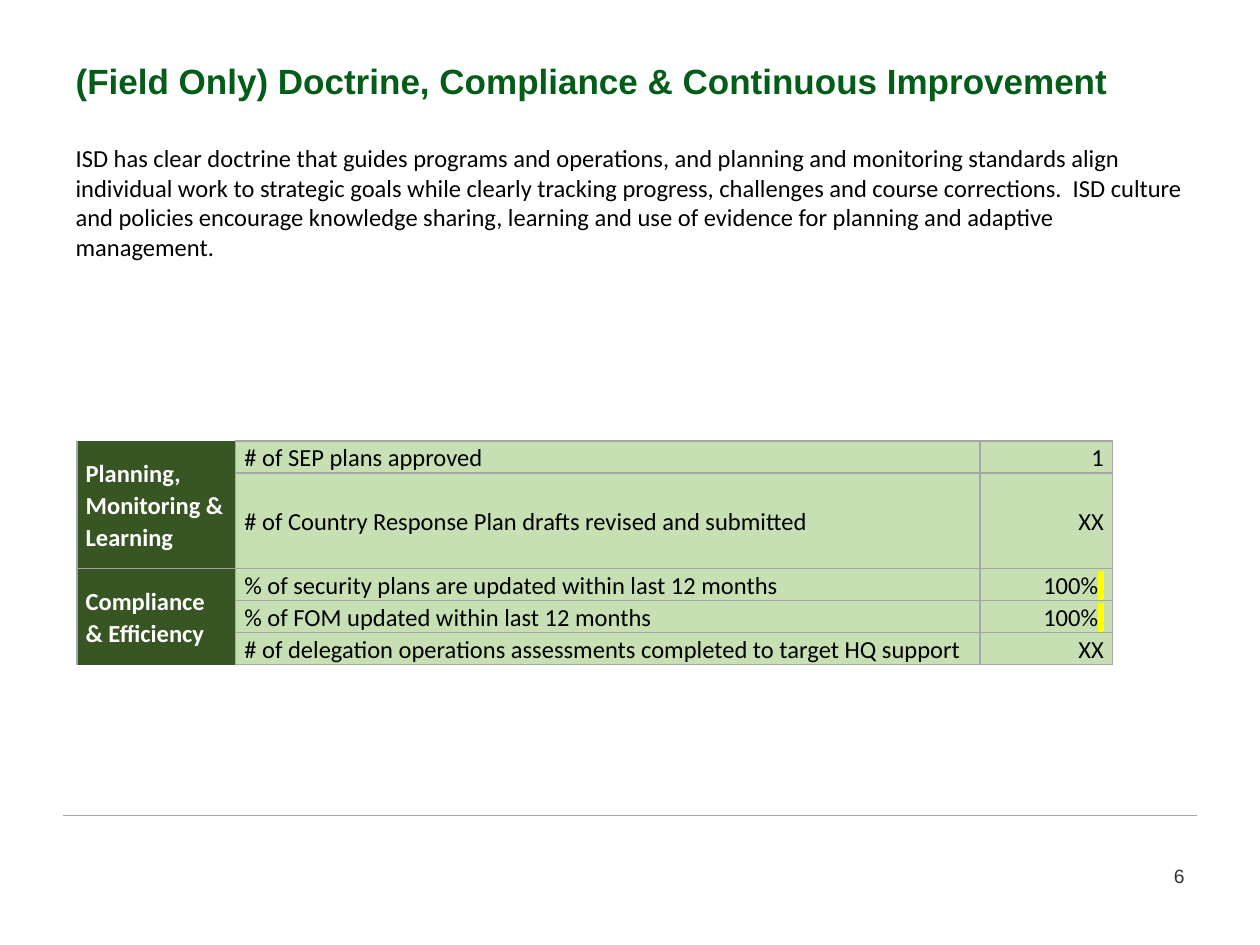
from lxml import etree
from pptx import Presentation
from pptx.dml.color import RGBColor
from pptx.enum.text import MSO_ANCHOR, MSO_AUTO_SIZE, PP_ALIGN
from pptx.oxml.ns import qn
from pptx.util import Inches, Pt

GREY, DARK_GREEN, LIGHT_GREEN = "A6A6A6", "385623", "C6E0B4"


def paint(target, color):
    """Give a fill a solid colour from a hex string."""
    target.solid()
    target.fore_color.rgb = RGBColor.from_string(color)


def add_text(paragraph, text, size, font, color, bold=False):
    """Add a formatted run to a paragraph and return it."""
    run = paragraph.add_run()
    run.text = text
    run.font.size, run.font.name, run.font.bold = Pt(size), font, bold
    paint(run.font.fill, color)
    return run


prs = Presentation()
prs.slide_width, prs.slide_height = Inches(10), Inches(7.5)
slide = prs.slides.add_slide(prs.slide_layouts[5])

# Title and introduction
title = slide.shapes.title
title.left, title.top = Inches(0.5), Inches(0.3)
title.width, title.height = Inches(9), Inches(2.97)
frame = title.text_frame
frame.word_wrap, frame.auto_size = True, MSO_AUTO_SIZE.NONE
frame.vertical_anchor = MSO_ANCHOR.TOP
frame.margin_top = Inches(0.17)
heading, intro = frame.paragraphs[0], frame.add_paragraph()
heading.alignment = intro.alignment = PP_ALIGN.LEFT
heading.space_before, intro.space_before = Pt(0), Pt(24)
add_text(heading, "(Field Only) Doctrine, Compliance & Continuous Improvement",
         20, "Arial", "035D18", True)
add_text(intro,
         "ISD has clear doctrine that guides programs and operations, and planning "
         "and monitoring standards align individual work to strategic goals while "
         "clearly tracking progress, challenges and course corrections.  ISD culture "
         "and policies encourage knowledge sharing, learning and use of evidence for "
         "planning and adaptive management.", 14, "Calibri", "000000")

# Indicator table
rows = [
    ("Planning, Monitoring & Learning", "# of SEP plans approved", "1"),
    ("", "# of Country Response Plan drafts revised and submitted", "XX"),
    ("Compliance & Efficiency",
     "% of security plans are updated within last 12 months", "100%"),
    ("", "% of FOM updated within last 12 months", "100%"),
    ("", "# of delegation operations assessments completed to target HQ support", "XX"),
]
table = slide.shapes.add_table(len(rows), 3, Inches(0.61), Inches(3.5),
                               Inches(8.22), Inches(1.76)).table
table.first_row = table.horz_banding = False
table._tbl.tblPr.find(qn("a:tableStyleId")).text = "{2D5ABB26-0587-4C30-8999-92F81FD0307C}"
for column, width in zip(table.columns, (1.26, 5.91, 1.05)):
    column.width = Inches(width)
for row, height in zip(table.rows, (0.25, 0.76, 0.25, 0.25, 0.25)):
    row.height = Inches(height)
table.cell(0, 0).merge(table.cell(1, 0))
table.cell(2, 0).merge(table.cell(4, 0))

group_sides = {0: "LRB", 2: "LRT"}
for r, values in enumerate(rows):
    for c, value in enumerate(values):
        cell = table.cell(r, c)
        cell.vertical_anchor = MSO_ANCHOR.MIDDLE
        cell.margin_left = cell.margin_right = Inches(0.07)
        cell.margin_top = cell.margin_bottom = 0
        paint(cell.fill, LIGHT_GREEN if c else DARK_GREEN)
        sides = "LRTB" if c else group_sides.get(r, "LR")
        properties = cell._tc.get_or_add_tcPr()
        for position, side in enumerate(sides):
            border = etree.Element(qn(f"a:ln{side}"), w=str(Pt(1)))
            fill = etree.SubElement(border, qn("a:solidFill"))
            etree.SubElement(fill, qn("a:srgbClr"), val=GREY)
            properties.insert(position, border)
        if not value:
            continue
        paragraph = cell.text_frame.paragraphs[0]
        paragraph.line_spacing = 1.07
        paragraph.alignment = PP_ALIGN.RIGHT if c == 2 else PP_ALIGN.LEFT
        add_text(paragraph, value, 14, "Calibri", "000000" if c else "FFFFFF", c == 0)
        if value == "100%":
            marker = add_text(paragraph, " ", 14, "Calibri", "000000")
            highlight = etree.Element(qn("a:highlight"))
            etree.SubElement(highlight, qn("a:srgbClr"), val="FFFF00")
            marker.font.fill._xPr.find(qn("a:solidFill")).addnext(highlight)

# Footer rule and page number
rule = slide.shapes.add_connector(1, Inches(0.5), Inches(6.47), Inches(9.5), Inches(6.47))
paint(rule.line.fill, GREY)
rule.line.width = Pt(0.75)
etree.SubElement(rule._element.spPr, qn("a:effectLst"))

page = slide.shapes.add_textbox(Inches(7.17), Inches(6.81), Inches(2.33), Inches(0.4))
page.text_frame.word_wrap = True
number = page.text_frame.paragraphs[0]
number.alignment = PP_ALIGN.RIGHT
add_text(number, "6", 11, "Arial", "313231")

prs.save("out.pptx")
